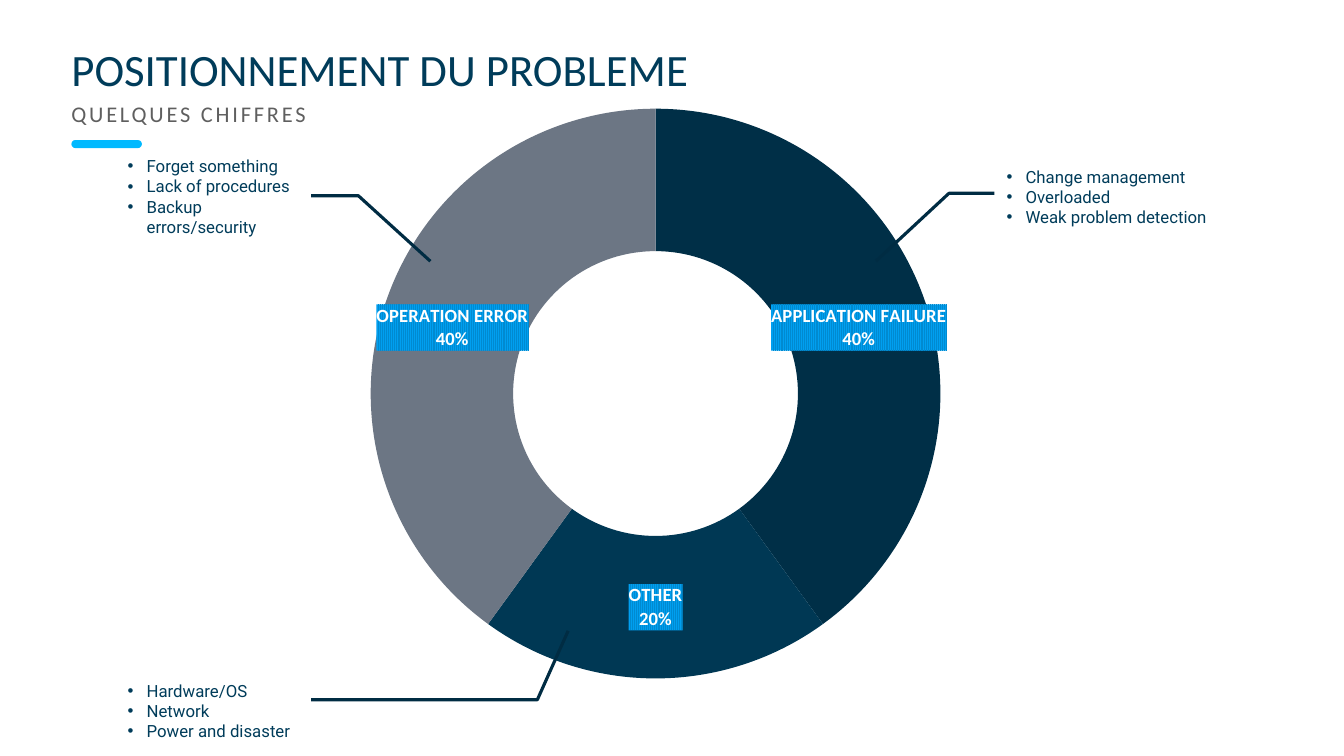
from dataclasses import dataclass

from lxml import etree
from pptx import Presentation, util as u
from pptx.chart.data import CategoryChartData
from pptx.dml.color import RGBColor
from pptx.enum import chart as ch, shapes, text
from pptx.oxml import parse_xml
from pptx.oxml.ns import nsdecls, qn


@dataclass(frozen=True)
class Theme:
    navy: str = "003C5A"
    grey: str = "5F5F5F"
    cyan: str = "00B9FF"
    line: str = "002C43"
    white: str = "FFFFFF"
    label: str = "009FF0"
    stripe: str = "008AD0"
    slices: tuple = ("002F47", "003854", "6C7684")
    head: str = "Calibri"
    body: str = "Roboto"
    title: float = 32
    sub: float = 16
    note: float = 12
    tag: float = 13.3
    small: float = 10


def rgb(code):
    return RGBColor.from_string(code)


def apply(item, **style):
    for name, value in style.items():
        setattr(item, name, value)


def paint(font, name, size, color, bold=False):
    apply(font, name=name, size=u.Pt(size), bold=bold)
    font.color.rgb = rgb(color)


class Deck:
    def __init__(self, theme):
        self.theme = theme
        self.prs = Presentation()
        apply(self.prs, slide_width=u.Pt(960), slide_height=u.Pt(540))
        self.slide = self.prs.slides.add_slide(self.prs.slide_layouts[1])

    def holder(self, index, words, box, size, color, anchor, inset, space=0):
        shape = self.slide.placeholders[index]
        names = ("left", "top", "width", "height")
        apply(shape, **dict(zip(names, map(u.Pt, box))))
        frame = shape.text_frame
        apply(frame, text=words, word_wrap=True, vertical_anchor=anchor,
              auto_size=text.MSO_AUTO_SIZE.NONE, margin_left=0, margin_right=0,
              margin_top=u.Pt(inset), margin_bottom=u.Pt(inset))
        para = frame.paragraphs[0]
        props = para._p.get_or_add_pPr()
        props.set("marL", "0")
        props.set("indent", "0")
        etree.SubElement(props, qn("a:buNone"))
        apply(para, alignment=text.PP_ALIGN.LEFT, line_spacing=0.9,
              space_before=u.Pt(0))
        run = para.runs[0]
        paint(run.font, self.theme.head, size, color)
        run._r.get_or_add_rPr().set("spc", str(space * 100))

    def bar(self, box):
        shape = self.slide.shapes.add_shape(
            shapes.MSO_SHAPE.ROUNDED_RECTANGLE, *map(u.Pt, box))
        shape.adjustments[0] = 0.5
        shape.shadow.inherit = False
        shape.fill.solid()
        shape.fill.fore_color.rgb = rgb(self.theme.cyan)
        shape.line.fill.background()

    def ring(self, box, shares):
        data = CategoryChartData()
        data.categories = list(shares)
        data.add_series("Series 1", list(shares.values()))
        chart = self.slide.shapes.add_chart(
            ch.XL_CHART_TYPE.DOUGHNUT, *map(u.Pt, box), data).chart
        apply(chart, has_legend=False, has_title=False)
        paint(chart.font, self.theme.head, self.theme.small, self.theme.navy)
        plot = chart.plots[0]
        plot.vary_by_categories = True
        series = plot.series[0]
        for index, color in enumerate(self.theme.slices):
            part = series.points[index].format
            part.fill.solid()
            part.fill.fore_color.rgb = rgb(color)
            part.line.fill.background()
        self.tags(series.data_labels)
        self.fit(chart, box)

    def tags(self, labels):
        theme = self.theme
        apply(labels, show_value=False, show_category_name=True,
              show_percentage=True)
        paint(labels.font, theme.head, theme.tag, theme.white, True)
        root = labels._element
        root.find(qn("c:txPr")).addprevious(parse_xml(
            f'<c:spPr {nsdecls("c", "a")}><a:pattFill prst="narVert">'
            f'<a:fgClr><a:srgbClr val="{theme.stripe}"/></a:fgClr>'
            f'<a:bgClr><a:srgbClr val="{theme.label}"/></a:bgClr>'
            '</a:pattFill></c:spPr>'))
        root.find(qn("c:showBubbleSize")).addnext(parse_xml(
            f'<c:separator {nsdecls("c")}>\n</c:separator>'))

    def fit(self, chart, box, size=407):
        wide, high = size / box[2], size / box[3]
        area = chart._chartSpace.chart.plotArea
        for old in area.findall(qn("c:layout")):
            area.remove(old)
        area.insert(0, parse_xml(
            f'<c:layout {nsdecls("c")}><c:manualLayout>'
            '<c:layoutTarget val="inner"/>'
            '<c:xMode val="edge"/><c:yMode val="edge"/>'
            f'<c:x val="{(1 - wide) / 2:.4f}"/><c:y val="{(1 - high) / 2:.4f}"/>'
            f'<c:w val="{wide:.4f}"/><c:h val="{high:.4f}"/>'
            '</c:manualLayout></c:layout>'))

    def callout(self, box, lead, lines, lift=0):
        shape = self.slide.shapes.add_shape(
            shapes.MSO_SHAPE.LINE_CALLOUT_2_NO_BORDER, *map(u.Pt, box))
        for index, value in enumerate(lead):
            shape.adjustments[index] = value
        shape.shadow.inherit = False
        shape.fill.background()
        shape.line.color.rgb = rgb(self.theme.line)
        shape.line.width = u.Pt(2.25)
        frame = shape.text_frame
        apply(frame, text="\n".join(lines), word_wrap=True,
              vertical_anchor=text.MSO_ANCHOR.MIDDLE,
              margin_bottom=u.Pt(3.6 + lift))
        for para in frame.paragraphs:
            props = para._p.get_or_add_pPr()
            props.set("marL", str(u.Pt(13.5)))
            props.set("indent", str(-u.Pt(13.5)))
            etree.SubElement(props, qn("a:buFont")).set("typeface", "Arial")
            etree.SubElement(props, qn("a:buChar")).set("char", "•")
            para.alignment = text.PP_ALIGN.LEFT
            paint(para.runs[0].font, self.theme.body, self.theme.note,
                  self.theme.navy)


def main():
    theme = Theme()
    deck = Deck(theme)
    deck.bar((51, 100, 50.4, 5.8))
    deck.holder(0, "POSITIONNEMENT DU PROBLEME", (51, 28.8, 859, 45.4),
                theme.title, theme.navy, text.MSO_ANCHOR.MIDDLE, 3.6)
    deck.holder(1, "QUELQUES CHIFFRES", (51, 73.4, 859, 20.2),
                theme.sub, theme.grey, text.MSO_ANCHOR.TOP, 0, 2)
    deck.ring((148.3, 67.7, 640, 427), {
        "APPLICATION FAILURE": 40, "OTHER": 20, "OPERATION ERROR": 40})
    deck.callout((712, 80, 162.7, 121), (0.48, -0.01, 0.48, -0.21, 0.88, -0.53),
                 ("Change management", "Overloaded", "Weak problem detection"))
    left, wide, high = 84.2, 146.9, 85
    deck.callout((left, 465, wide, high), (0.41, 0.94, 0.41, 2.04, -0.17, 2.19),
                 ("Hardware/OS", "Network", "Power and disaster"))
    deck.callout((left, 105, wide, high), (0.41, 0.94, 0.41, 1.17, 0.96, 1.52),
                 ("Forget something", "Lack of procedures",
                  "Backup errors/security"), 14.5)
    deck.prs.save("out.pptx")


if __name__ == "__main__":
    main()
